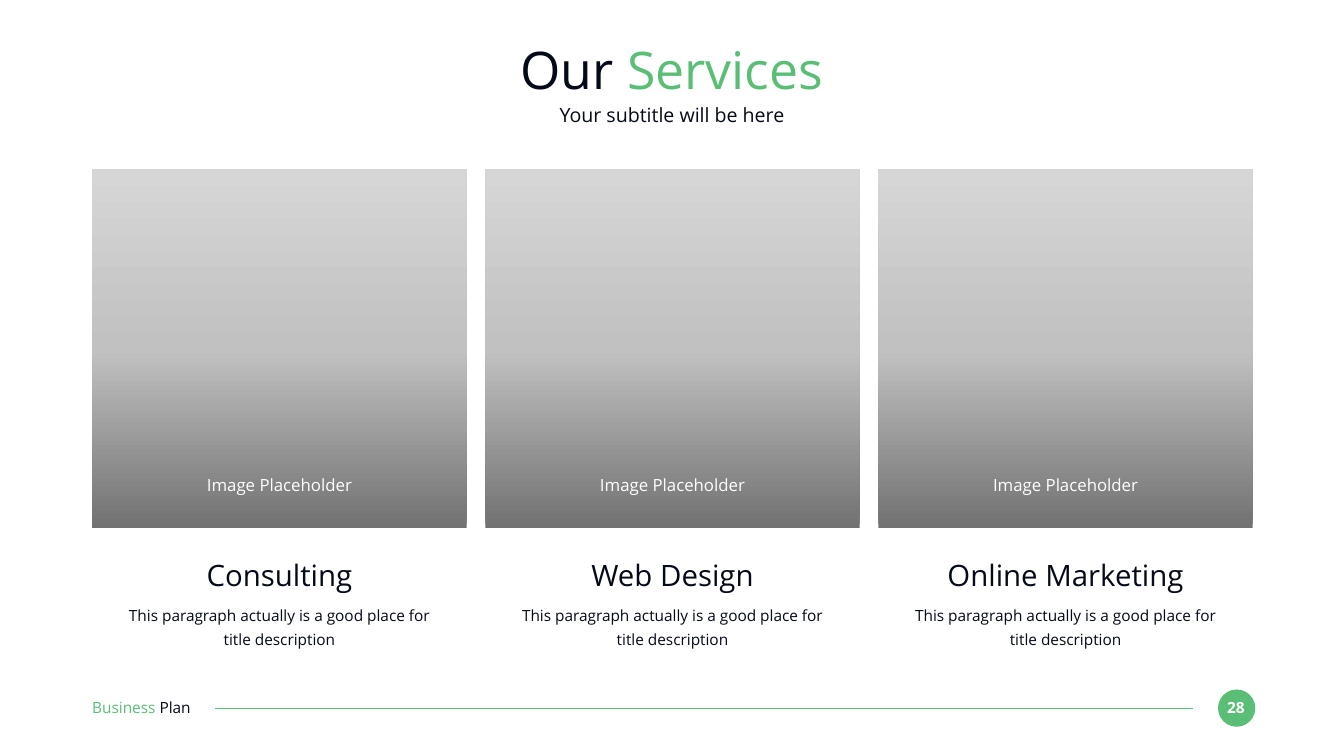
from copy import deepcopy

from lxml.etree import SubElement
from pptx import Presentation
from pptx.dml.color import RGBColor
from pptx.enum.shapes import MSO_CONNECTOR, MSO_SHAPE
from pptx.enum.text import MSO_ANCHOR, MSO_AUTO_SIZE, PP_ALIGN
from pptx.oxml.ns import qn
from pptx.util import Inches, Pt

WIDTH, HEIGHT = 26.67, 15
MARGIN = 1.83
CARD_WIDTH, CARD_PITCH = 7.43, 7.8
FONT = "Open Sans"
COLORS = {
    "ink": "050A19",
    "green": "5ABE76",
    "white": "FFFFFF",
    "dark_gray": "727272",
    "mid_gray": "C1C1C1",
    "light_gray": "D6D6D6",
}
SERVICES = ["Consulting", "Web Design", "Online Marketing"]
DESCRIPTION = "This paragraph actually is a good place for title description"


def color(name):
    return RGBColor.from_string(COLORS[name])


def inches(*lengths):
    return [Inches(length) for length in lengths]


def add_text(slide, box, runs, size, shape=None, align=PP_ALIGN.CENTER,
             bold=False, spacing=None):
    """Write (text, color name) runs in a new text box or a given shape."""
    if shape is None:
        shape = slide.shapes.add_textbox(*inches(*box))
    else:
        shape.left, shape.top, shape.width, shape.height = inches(*box)
    frame = shape.text_frame
    frame.word_wrap = True
    frame.auto_size = MSO_AUTO_SIZE.NONE
    frame.vertical_anchor = MSO_ANCHOR.MIDDLE
    frame.margin_left = frame.margin_right = 0
    frame.margin_top = frame.margin_bottom = 0
    paragraph = frame.paragraphs[0]
    paragraph.alignment = align
    paragraph.line_spacing = spacing
    for text, color_name in runs:
        run = paragraph.add_run()
        run.text = text
        run.font.name = FONT
        run.font.size = Pt(size)
        run.font.bold = bold
        run.font.color.rgb = color(color_name)


def add_plain_shape(slide, kind, box):
    shape = slide.shapes.add_shape(kind, *inches(*box))
    shape.shadow.inherit = False
    shape.line.fill.background()
    return shape


def fill_gray_gradient(shape):
    """Shade from dark at the bottom to light at the top."""
    fill = shape.fill
    fill.gradient()
    fill.gradient_angle = 90
    stop_list = shape._element.spPr.find(".//" + qn("a:gsLst"))
    stop_list.insert(1, deepcopy(stop_list[0]))
    names = ["dark_gray", "mid_gray", "light_gray"]
    for stop, position, name in zip(fill.gradient_stops, [0, 0.5, 1], names):
        stop.position = position
        stop.color.rgb = color(name)


def add_header(slide, left, top, width):
    add_text(slide, (left, top, width, 1.27),
             [("Our ", "ink"), ("Services", "green")], 74,
             shape=slide.shapes.title)
    add_text(slide, (left, top + 1.3, width, 0.49),
             [("Your subtitle will be here", "ink")], 28)


def add_service(slide, left, top, width, name):
    def centered(offset, box_width, height):
        return left + (width - box_width) / 2, top + offset, box_width, height

    # Picture area with its label
    area = add_plain_shape(slide, MSO_SHAPE.RECTANGLE, (left, top, width, 7.12))
    fill_gray_gradient(area)
    add_text(slide, centered(6.06, 4.9, 0.4), [("Image Placeholder", "white")], 24)

    # Name and description
    add_text(slide, centered(7.69, 6.18, 0.71), [(name, "ink")], 42)
    add_text(slide, centered(8.57, 6.18, 0.92), [(DESCRIPTION, "ink")], 22,
             spacing=1.3)


def add_footer(slide, left, middle, right):
    # Deck name
    add_text(slide, (left, middle - 0.21, 2.59, 0.37),
             [("Business ", "green"), ("Plan", "ink")], 22, align=PP_ALIGN.LEFT)

    # Rule
    rule = slide.shapes.add_connector(
        MSO_CONNECTOR.STRAIGHT,
        *inches(right - 1.24, middle, left + 2.43, middle))
    rule.line.color.rgb = color("green")
    rule.line.width = Pt(1.5)
    SubElement(rule._element.spPr, qn("a:effectLst"))

    # Page number
    diameter = 0.74
    badge = add_plain_shape(
        slide, MSO_SHAPE.OVAL,
        (right - diameter, middle - diameter / 2, diameter, diameter))
    badge.fill.solid()
    badge.fill.fore_color.rgb = color("green")
    add_text(slide, (right - 0.68, middle - 0.2, 0.59, 0.37),
             [("28", "white")], 22, bold=True)


def main():
    presentation = Presentation()
    presentation.slide_width, presentation.slide_height = inches(WIDTH, HEIGHT)
    slide = presentation.slides.add_slide(presentation.slide_layouts[5])

    add_header(slide, MARGIN, 0.73, WIDTH - 2 * MARGIN)
    for column, name in enumerate(SERVICES):
        add_service(slide, MARGIN + column * CARD_PITCH, 3.36, CARD_WIDTH, name)
    add_footer(slide, MARGIN, 14.05, 24.91)

    presentation.save("out.pptx")


if __name__ == "__main__":
    main()
